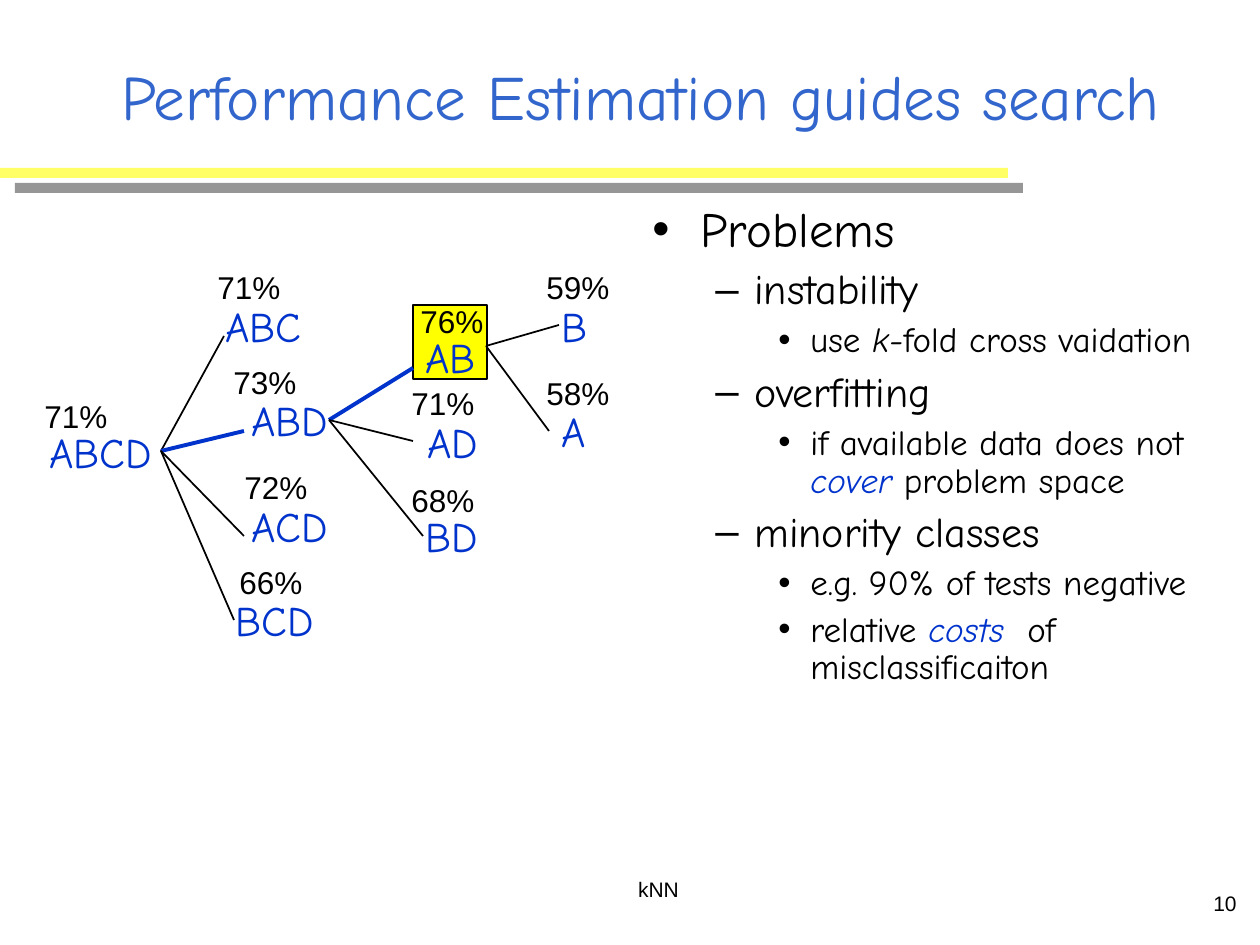
from dataclasses import dataclass

from lxml import etree
from pptx import Presentation, util as u
from pptx.dml.color import RGBColor
from pptx.enum import shapes, text
from pptx.oxml import ns

PX = 914400 / 126


@dataclass(frozen=True)
class Theme:
    display: str = "Comic Neue"
    plain: str = "Arial"
    title: str = "3366CC"
    ink: str = "000000"
    accent: str = "0033CC"
    bar: str = "FFFF66"
    bar_shadow: str = "969696"
    highlight: str = "FFFF00"
    title_size: int = 36
    node_size: int = 24
    score_size: int = 18
    footer_size: int = 12


THEME = Theme()

LEVELS = [
    dict(size=28, before=7, margin=48, hang=48, bullet="•"),
    dict(size=24, before=6, margin=102, hang=39, bullet="–"),
    dict(size=20, before=5, margin=158, hang=32, bullet="•"),
]

PROBLEMS = [
    (0, [("Problems", "plain")]),
    (1, [("instability", "plain")]),
    (2, [("use ", "plain"), ("k-", "italic"), ("fold cross vaidation", "plain")]),
    (1, [("overfitting", "plain")]),
    (2, [("if available data does not ", "plain"), ("cover ", "accent"),
         ("problem space", "plain")]),
    (1, [("minority classes", "plain")]),
    (2, [("e.g. 90% of tests negative", "plain")]),
    (2, [("relative ", "plain"), ("costs  ", "accent"),
         ("of misclassificaiton", "plain")]),
]

NODES = [
    ("ABCD", (5, 158, 128), "71%", (0, 129)),
    ("ABC", (181, 32, 102), "71%", (173, 0)),
    ("ABD", (207, 126, 103), "73%", (189, 95)),
    ("ACD", (207, 232, 103), "72%", (200, 200)),
    ("BCD", (191, 326, 104), "66%", (195, 295)),
    ("AB", (381, 63, 77), "76%", (376, 34)),
    ("AD", (383, 148, 77), "71%", (367, 116)),
    ("BD", (381, 242, 78), "68%", (367, 213)),
    ("B", (517, 32, 51), "59%", (502, 0)),
    ("A", (517, 137, 50), "58%", (502, 106)),
]

BRANCHES = {
    (129, 189): [(192, 74), (212, 169), (212, 274), (202, 358)],
    (297, 158): [(381, 106), (381, 179), (391, 274)],
    (454, 84): [(527, 63), (517, 169)],
}
BEST_STEPS = {(212, 169), (381, 106)}


def px(n):
    return u.Emu(round(n * PX))


def rgb(color):
    return RGBColor.from_string(color)


def add_run(p, content, font=THEME.display, size=18, color=THEME.ink, italic=False):
    r = p.add_run()
    r.text = content
    r.font.name = font
    r.font.size = u.Pt(size)
    r.font.color.rgb = rgb(color)
    r.font.italic = italic


def add_text(s, box, content="", wrap=True, align=text.PP_ALIGN.LEFT,
             anchor=text.MSO_ANCHOR.TOP, **fmt):
    tf = s.shapes.add_textbox(*map(px, box)).text_frame
    tf.word_wrap = wrap
    if not wrap:
        tf.auto_size = text.MSO_AUTO_SIZE.SHAPE_TO_FIT_TEXT
    tf.vertical_anchor = anchor
    p = tf.paragraphs[0]
    p.alignment = align
    if content:
        add_run(p, content, **fmt)
    return tf


def add_rect(s, box, fill, line=None):
    sp = s.shapes.add_shape(shapes.MSO_SHAPE.RECTANGLE, *map(px, box))
    sp.shadow.inherit = False
    sp.fill.solid()
    sp.fill.fore_color.rgb = rgb(fill)
    if line:
        sp.line.color.rgb = rgb(line)
        sp.line.width = u.Pt(1)
    else:
        sp.line.fill.background()
    return sp


def add_branch(s, start, end, color, width):
    line = s.shapes.add_connector(shapes.MSO_CONNECTOR.STRAIGHT, *map(px, start + end))
    line.line.color.rgb = rgb(color)
    line.line.width = u.Pt(width)
    etree.SubElement(line._element.spPr, ns.qn("a:effectLst"))


def add_title_bar(s, box):
    sp = add_rect(s, box, THEME.bar)
    effects = sp._element.spPr.find(ns.qn("a:effectLst"))
    shadow = etree.SubElement(effects, ns.qn("a:outerShdw"), dist=str(u.Pt(12.1)),
                              dir="2700000", algn="ctr", rotWithShape="0")
    etree.SubElement(shadow, ns.qn("a:srgbClr"), val=THEME.bar_shadow)


def add_title(s, box, content):
    sp = s.shapes.title
    sp.left, sp.top, sp.width, sp.height = map(px, box)
    tf = sp.text_frame
    tf.auto_size = text.MSO_AUTO_SIZE.NONE
    tf.vertical_anchor = text.MSO_ANCHOR.MIDDLE
    p = tf.paragraphs[0]
    p.alignment = text.PP_ALIGN.CENTER
    add_run(p, content, size=THEME.title_size, color=THEME.title)


def add_problems(s, box):
    tf = add_text(s, box)
    for i, (level, runs) in enumerate(PROBLEMS):
        style = LEVELS[level]
        p = tf.add_paragraph() if i else tf.paragraphs[0]
        p.level = level
        p.line_spacing = 0.9
        p.space_before = u.Pt(style["before"])
        pPr = p._p.get_or_add_pPr()
        pPr.set("marL", str(px(style["margin"])))
        pPr.set("indent", str(px(-style["hang"])))
        etree.SubElement(pPr, ns.qn("a:buFont"), typeface=THEME.plain)
        etree.SubElement(pPr, ns.qn("a:buChar"), char=style["bullet"])
        for content, kind in runs:
            add_run(p, content, size=style["size"], italic=kind != "plain",
                    color=THEME.accent if kind == "accent" else THEME.ink)


def add_search_tree(s, box):
    left, top = box[:2]

    def at(x, y):
        return left + x, top + y

    add_rect(s, (*at(381, 43), 74, 74), THEME.highlight, THEME.ink)
    for name, (x, y, width), score, score_at in NODES:
        add_text(s, (*at(x, y), width, 63), name, wrap=False,
                 size=THEME.node_size, color=THEME.accent)
        add_text(s, (*at(*score_at), 88, 50), score, wrap=False,
                 font=THEME.plain, size=THEME.score_size)
    for start, ends in BRANCHES.items():
        for end in ends:
            color, width = (THEME.accent, 2.25) if end in BEST_STEPS else (THEME.ink, 1)
            add_branch(s, at(*start), at(*end), color, width)


def add_footer(s, box, content, align):
    add_text(s, box, content, align=align, anchor=text.MSO_ANCHOR.MIDDLE,
             font=THEME.plain, size=THEME.footer_size)


def main():
    prs = Presentation()
    prs.slide_width, prs.slide_height = px(1260), px(945)
    s = prs.slides.add_slide(prs.slide_layouts[5])
    add_title_bar(s, (0, 168, 1008, 10))
    add_title(s, (63, 32, 1155, 126), "Performance Estimation guides search")
    add_problems(s, (640, 199, 588, 588))
    add_search_tree(s, (32, 262, 590, 390))
    add_footer(s, (459, 858, 399, 63), "kNN", text.PP_ALIGN.CENTER)
    add_footer(s, (987, 872, 262, 63), "10", text.PP_ALIGN.RIGHT)
    prs.save("out.pptx")


if __name__ == "__main__":
    main()
